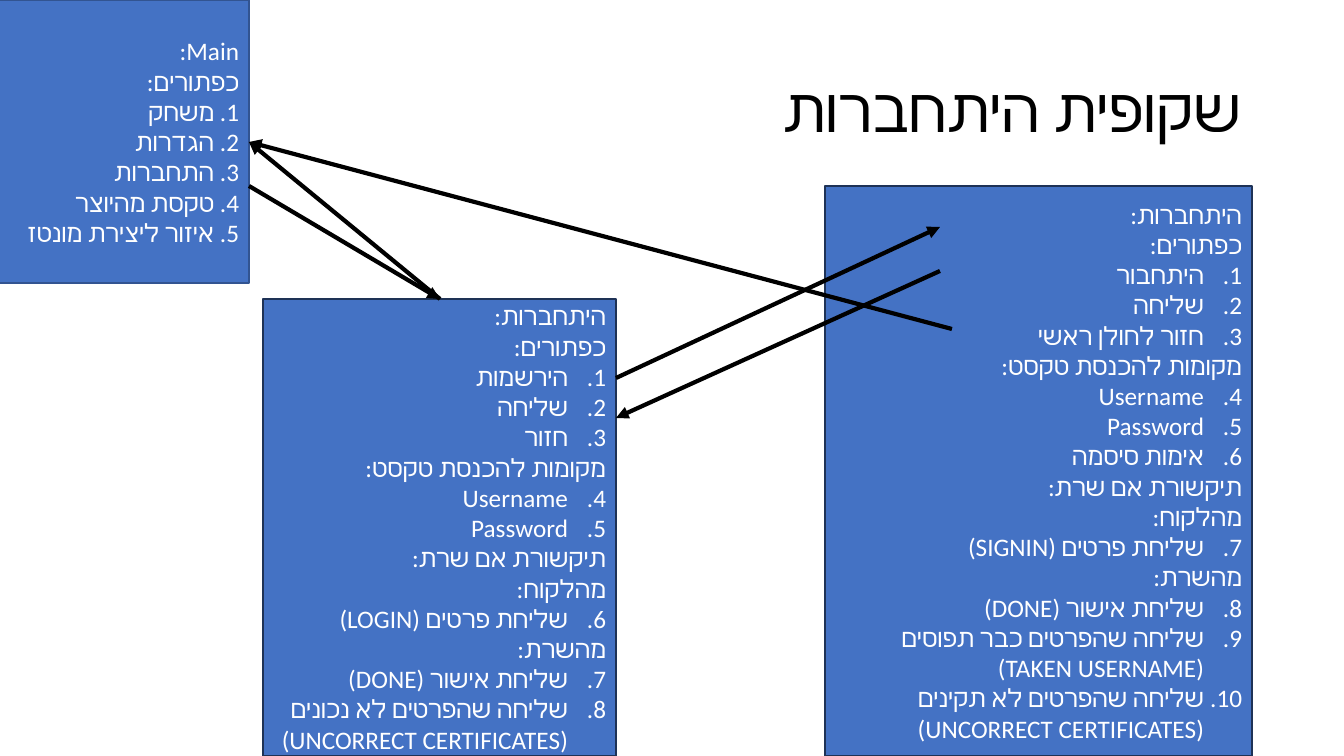
from lxml.etree import SubElement
from pptx import Presentation
from pptx.dml.color import RGBColor
from pptx.enum.shapes import MSO_CONNECTOR as CONNECTOR, MSO_SHAPE as SHAPE
from pptx.enum.text import MSO_ANCHOR as ANCHOR, PP_ALIGN as ALIGN
from pptx.oxml.ns import qn
from pptx.util import Pt

PX = 914400 / 100.8
FONT = "Calibri"
LIST_INDENT = round(38 * PX)
COLORS = {
    "box": "4472C4",
    "main_border": "325491",
    "form_border": "1E3256",
    "light": "FFFFFF",
    "dark": "000000",
}


def px(*lengths):
    return [round(length * PX) for length in lengths]


def write_text(frame, entries, size=18, color="light", spacing=None):
    """Write right-to-left lines; an inner list is a group of numbered lines."""
    frame.word_wrap = True
    frame.vertical_anchor = ANCHOR.MIDDLE
    lines = []
    next_number = 1
    for entry in entries:
        if isinstance(entry, list):
            lines += [(item, next_number) for item in entry]
            next_number += len(entry)
        else:
            lines.append((entry, None))
    for index, (text, group_start) in enumerate(lines):
        paragraph = frame.add_paragraph() if index else frame.paragraphs[0]
        paragraph.alignment = ALIGN.RIGHT
        paragraph.line_spacing = spacing
        props = paragraph._p.get_or_add_pPr()
        props.set("rtl", "1")
        if group_start:
            props.set("marL", str(LIST_INDENT))
            props.set("indent", str(-LIST_INDENT))
            SubElement(props, qn("a:buFont"), typeface="+mj-lt")
            SubElement(props, qn("a:buAutoNum"), type="arabicPeriod", startAt=str(group_start))
        run = paragraph.add_run()
        run.text = text
        run.font.name = FONT
        run.font.size = Pt(size)
        run.font.color.rgb = RGBColor.from_string(COLORS[color])
        SubElement(run._r.get_or_add_rPr(), qn("a:cs"), typeface=FONT)


prs = Presentation()
prs.slide_width, prs.slide_height = px(1344, 756)
slide = prs.slides.add_slide(prs.slide_layouts[6])

title = slide.shapes.add_textbox(*px(93, 40, 1159, 146))
write_text(title.text_frame, ["שקופית היתחברות"], size=44, color="dark", spacing=0.9)

main_screen = [
    "Main:",
    "כפתורים:",
    "1. משחק",
    "2. הגדרות",
    "3. התחברות",
    "4. טקסת מהיוצר",
    "5. איזור ליצירת מונטז",
]
login_screen = [
    "היתחברות:",
    "כפתורים:",
    ["הירשמות", "שליחה", "חזור"],
    "מקומות להכנסת טקסט:",
    ["Username", "Password"],
    "תיקשורת אם שרת:",
    "מהלקוח:",
    ["שליחת פרטים (LOGIN)"],
    "מהשרת:",
    ["שליחת אישור (DONE)", "שליחה שהפרטים לא נכונים (UNCORRECT CERTIFICATES)"],
]
signup_screen = [
    "היתחברות:",
    "כפתורים:",
    ["היתחבור", "שליחה", "חזור לחולן ראשי"],
    "מקומות להכנסת טקסט:",
    ["Username", "Password", "אימות סיסמה"],
    "תיקשורת אם שרת:",
    "מהלקוח:",
    ["שליחת פרטים (SIGNIN)"],
    "מהשרת:",
    [
        "שליחת אישור (DONE)",
        "שליחה שהפרטים כבר תפוסים (TAKEN USERNAME)",
        "שליחה שהפרטים לא תקינים (UNCORRECT CERTIFICATES)",
    ],
]
screens = [
    (main_screen, (-24, 0, 273, 283), "main_border"),
    (login_screen, (263, 299, 353, 457), "form_border"),
    (signup_screen, (825, 186, 427, 570), "form_border"),
]
for entries, bounds, border in screens:
    screen = slide.shapes.add_shape(SHAPE.RECTANGLE, *px(*bounds))
    screen.shadow.inherit = False
    screen.fill.solid()
    screen.fill.fore_color.rgb = RGBColor.from_string(COLORS["box"])
    screen.line.color.rgb = RGBColor.from_string(COLORS[border])
    screen.line.width = Pt(1)
    write_text(screen.text_frame, entries)

main_entry = (249, 142)
login_top = (440, 299)
transitions = [
    ((249, 186), login_top),
    ((616, 378), (940, 227)),
    ((940, 271), (616, 418)),
    ((952, 329), main_entry),
    (login_top, main_entry),
]
for start, end in transitions:
    arrow = slide.shapes.add_connector(CONNECTOR.STRAIGHT, *px(*start, *end))
    arrow.line.color.rgb = RGBColor.from_string(COLORS["dark"])
    arrow.line.width = Pt(3)
    SubElement(arrow.line._get_or_add_ln(), qn("a:tailEnd"), type="triangle")
    SubElement(arrow._element.spPr, qn("a:effectLst"))

prs.save("out.pptx")
